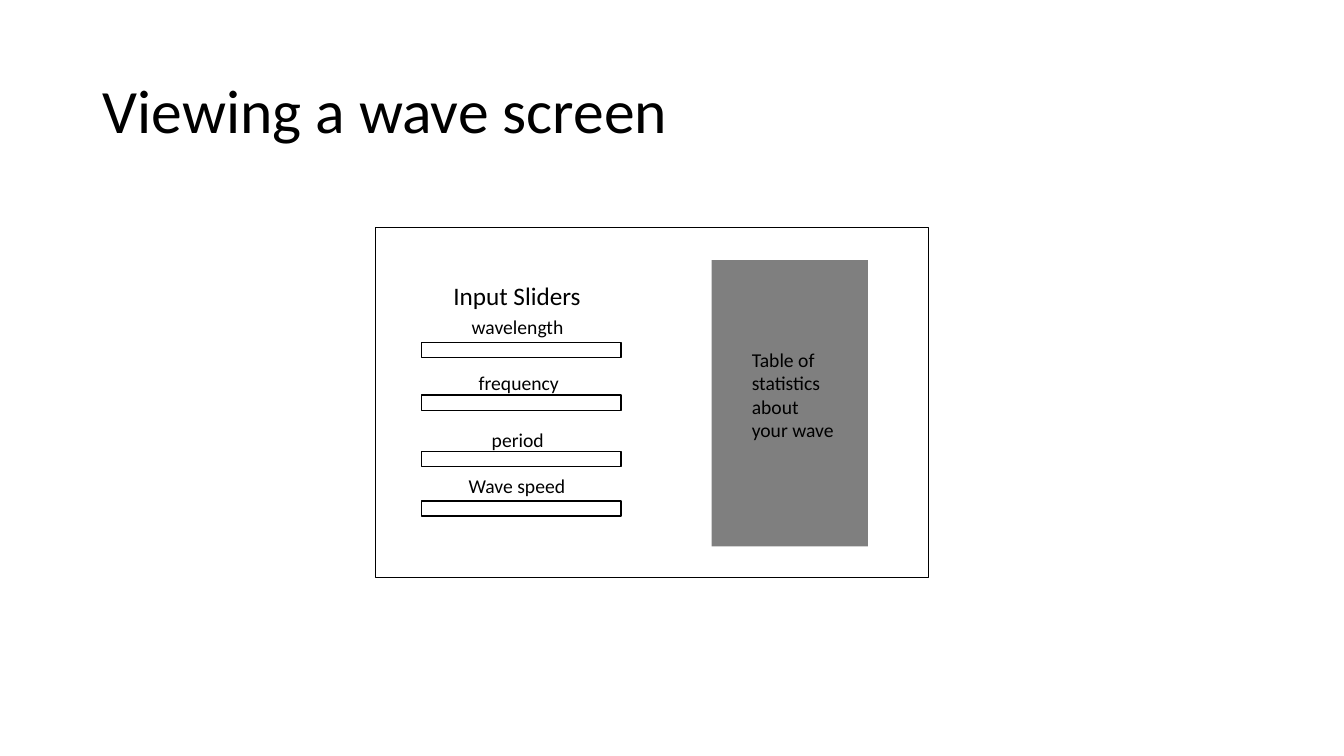
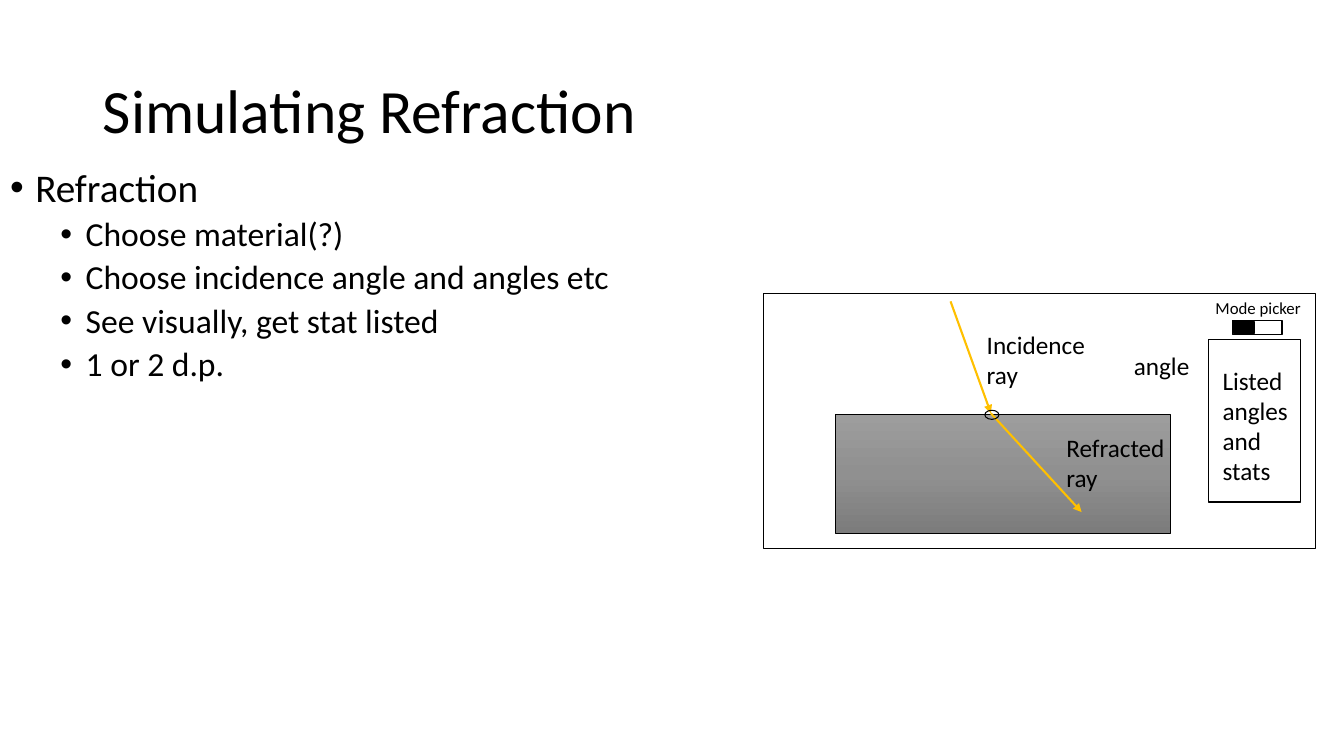
from dataclasses import dataclass

from lxml import etree
from pptx import Presentation
from pptx.dml.color import RGBColor
from pptx.enum.shapes import MSO_CONNECTOR, MSO_SHAPE
from pptx.enum.text import MSO_ANCHOR, MSO_AUTO_SIZE, PP_ALIGN
from pptx.oxml.ns import qn
from pptx.util import Emu, Inches, Pt

RECTANGLE, ELLIPSE = MSO_SHAPE.RECTANGLE, MSO_SHAPE.OVAL
STRAIGHT = MSO_CONNECTOR.STRAIGHT
LEFT, TOP, MIDDLE = PP_ALIGN.LEFT, MSO_ANCHOR.TOP, MSO_ANCHOR.MIDDLE
NO_AUTOFIT = MSO_AUTO_SIZE.NONE

BLACK = RGBColor(0x00, 0x00, 0x00)
WHITE = RGBColor(0xFF, 0xFF, 0xFF)
RAY_YELLOW = RGBColor(0xFF, 0xC0, 0x00)
BLOCK_SHADES = (
    (0, RGBColor(0x9D, 0x9D, 0x9D)),
    (50, RGBColor(0x90, 0x90, 0x90)),
    (100, RGBColor(0x7C, 0x7C, 0x7C)),
)
FONT = "Calibri"

# Lengths are counted in grid cells: ten columns or rows to the inch.
CELL = Inches(0.1)
SLIDE_COLUMNS, SLIDE_ROWS = 133.33, 75
TITLE_ONLY, TITLE_AND_BODY = 5, 1


def cells(count: float) -> Emu:
    return Emu(round(count * CELL))


@dataclass(frozen=True)
class Area:
    column: float
    row: float
    columns: float
    rows: float

    def lengths(self) -> tuple[Emu, Emu, Emu, Emu]:
        return (cells(self.column), cells(self.row),
                cells(self.columns), cells(self.rows))


@dataclass(frozen=True)
class Label:
    text: str
    area: Area
    size: float = 18


@dataclass(frozen=True)
class Slider:
    name: str
    name_column: float
    name_row: float
    bar_row: float


@dataclass(frozen=True)
class Ray:
    start: tuple[float, float]
    end: tuple[float, float]


@dataclass(frozen=True)
class Bullet:
    text: str
    level: int = 0


TITLE_AREA = Area(9.2, 4, 115, 14.5)
BULLET_AREA = Area(0, 16.2, 75.7, 59.3)
BULLET_SIZES = (28, 24)
BULLET_SPACING = (10, 5)

SLIDERS = (
    Slider("wavelength", 45.8, 30.8, 34),
    Slider("frequency", 46.5, 36.3, 39.2),
    Slider("period", 47.8, 42, 44.8),
    Slider("Wave speed", 45.5, 46.5, 49.7),
)
WAVE_LABELS = (
    Label("Table of statistics about your wave", Area(73.6, 34, 10.3, 10.4), 14),
    Label("Input Sliders", Area(44, 27.3, 19.4, 4)),
)

REFRACTION_BULLETS = (
    Bullet("Refraction"),
    Bullet("Choose material(?)", 1),
    Bullet("Choose incidence angle and angles etc", 1),
    Bullet("See visually, get stat listed", 1),
    Bullet("1 or 2 d.p.", 1),
)
HIT_POINT = (98.3, 41)
RAYS = (Ray((94.3, 29.9), HIT_POINT), Ray(HIT_POINT, (107.3, 50.8)))
REFRACTION_LABELS = (
    Label("angle", Area(111.5, 34.3, 10.9, 4)),
    Label("Incidence ray", Area(96.9, 32.2, 11.9, 7.1)),
    Label("Refracted ray", Area(104.8, 42.4, 13.5, 7.1)),
    Label("Listed angles and stats", Area(120.3, 35.7, 10.8, 13.1)),
    Label("Mode picker", Area(119.6, 29, 15.1, 3), 12),
)


def add_run(paragraph, text: str, size: float) -> None:
    run = paragraph.add_run()
    run.text = text
    run.font.name = FONT
    run.font.size = Pt(size)
    run.font.color.rgb = BLACK


def place(shape, area: Area) -> None:
    shape.left, shape.top, shape.width, shape.height = area.lengths()


def add_titled_slide(deck, layout: int, title: str):
    slide = deck.slides.add_slide(deck.slide_layouts[layout])
    heading = slide.shapes.title
    place(heading, TITLE_AREA)
    frame = heading.text_frame
    frame.auto_size = NO_AUTOFIT
    frame.vertical_anchor = MIDDLE
    paragraph = frame.paragraphs[0]
    paragraph.alignment = LEFT
    paragraph.line_spacing = 0.9
    add_run(paragraph, title, 44)
    return slide


def add_bullets(slide, bullets: tuple[Bullet, ...]) -> None:
    body = slide.placeholders[1]
    place(body, BULLET_AREA)
    frame = body.text_frame
    frame.auto_size = NO_AUTOFIT
    frame.vertical_anchor = TOP
    for index, bullet in enumerate(bullets):
        paragraph = frame.add_paragraph() if index else frame.paragraphs[0]
        paragraph.level = bullet.level
        paragraph.line_spacing = 0.9
        paragraph.space_before = Pt(BULLET_SPACING[bullet.level])
        properties = paragraph._p.get_or_add_pPr()
        properties.set("marL", str(Inches(0.25 + 0.5 * bullet.level)))
        properties.set("indent", str(Inches(-0.25)))
        etree.SubElement(properties, qn("a:buFont"), typeface="Arial")
        etree.SubElement(properties, qn("a:buChar"), char="•")
        add_run(paragraph, bullet.text, BULLET_SIZES[bullet.level])


def add_label(slide, label: Label) -> None:
    box = slide.shapes.add_textbox(*label.area.lengths())
    box.text_frame.word_wrap = True
    add_run(box.text_frame.paragraphs[0], label.text, label.size)


def add_outline(slide, area: Area, fill: RGBColor | None = None,
                line_width: float = 0.75, kind=RECTANGLE):
    """Draw a black-edged shape; a zero line width leaves the edge off."""
    shape = slide.shapes.add_shape(kind, *area.lengths())
    shape.shadow.inherit = False
    if fill is None:
        shape.fill.background()
    else:
        shape.fill.solid()
        shape.fill.fore_color.rgb = fill
    if line_width:
        shape.line.color.rgb = BLACK
        shape.line.width = Pt(line_width)
    else:
        shape.line.fill.background()
    return shape


def set_opacity(shape, percent: int) -> None:
    color = shape._element.spPr.find(f"{qn('a:solidFill')}/{qn('a:srgbClr')}")
    etree.SubElement(color, qn("a:alpha"), val=str(percent * 1000))


def shade_downwards(shape, shades: tuple[tuple[int, RGBColor], ...]) -> None:
    shape.fill.gradient()
    shape.fill.gradient_angle = 270
    stops = shape._element.spPr.find(f"{qn('a:gradFill')}/{qn('a:gsLst')}")
    for stop in list(stops):
        stops.remove(stop)
    for percent, color in shades:
        stop = etree.SubElement(stops, qn("a:gs"), pos=str(percent * 1000))
        etree.SubElement(stop, qn("a:srgbClr"), val=str(color))


def add_ray(slide, ray: Ray) -> None:
    ends = [cells(count) for count in (*ray.start, *ray.end)]
    arrow = slide.shapes.add_connector(STRAIGHT, *ends)
    arrow.line.color.rgb = RAY_YELLOW
    arrow.line.width = Pt(1.5)
    etree.SubElement(arrow.line._get_or_add_ln(), qn("a:tailEnd"), type="triangle")
    etree.SubElement(arrow._element.spPr, qn("a:effectLst"))


def add_slider(slide, slider: Slider) -> None:
    add_outline(slide, Area(41.8, slider.bar_row, 19.8, 1.5), WHITE, 1)
    name_area = Area(slider.name_column, slider.name_row, 16.2, 3.4)
    add_label(slide, Label(slider.name, name_area, 14))


def build_wave_slide(deck) -> None:
    slide = add_titled_slide(deck, TITLE_ONLY, "Viewing a wave screen")
    add_outline(slide, Area(37.3, 22.6, 54.8, 34.7))
    statistics = add_outline(slide, Area(70.6, 25.8, 15.5, 28.4), BLACK, 0)
    set_opacity(statistics, 50)
    for label in WAVE_LABELS:
        add_label(slide, label)
    for slider in SLIDERS:
        add_slider(slide, slider)


def build_refraction_slide(deck) -> None:
    slide = add_titled_slide(deck, TITLE_AND_BODY, "Simulating Refraction")
    add_bullets(slide, REFRACTION_BULLETS)
    add_outline(slide, Area(75.7, 29.1, 54.8, 25.3))
    block = add_outline(slide, Area(82.9, 41.1, 33.2, 11.8), line_width=0.5)
    shade_downwards(block, BLOCK_SHADES)
    for ray in RAYS:
        add_ray(slide, ray)
    add_outline(slide, Area(97.7, 40.7, 1.4, 0.9), kind=ELLIPSE)
    add_outline(slide, Area(119.9, 33.7, 9.1, 16.1), WHITE, 1)
    for label in REFRACTION_LABELS:
        add_label(slide, label)
    add_outline(slide, Area(122.3, 31.8, 4.9, 1.4), WHITE, 1)
    add_outline(slide, Area(122.4, 31.9, 2, 1.2), BLACK, 1)


def main() -> None:
    deck = Presentation()
    deck.slide_width = cells(SLIDE_COLUMNS)
    deck.slide_height = cells(SLIDE_ROWS)
    build_wave_slide(deck)
    build_refraction_slide(deck)
    deck.save("out.pptx")


if __name__ == "__main__":
    main()
